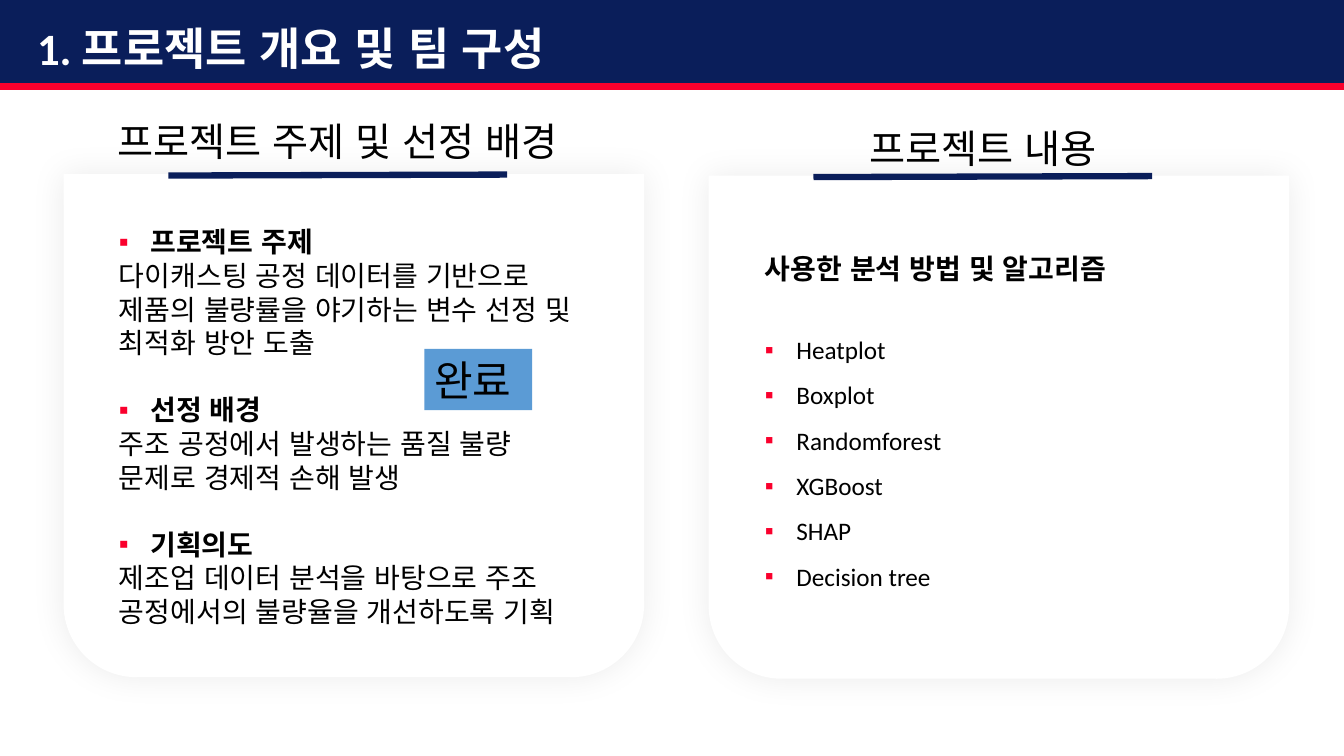
import pptx
import pptx.dml.color
import pptx.enum.lang
import pptx.enum.shapes
import pptx.enum.text
import pptx.oxml
import pptx.oxml.ns
import pptx.util
from lxml import etree

Pt = pptx.util.Pt
RGBColor = pptx.dml.color.RGBColor
SHAPE = pptx.enum.shapes.MSO_SHAPE
ALIGN = pptx.enum.text.PP_ALIGN
KOREAN = pptx.enum.lang.MSO_LANGUAGE_ID.KOREAN
qn = pptx.oxml.ns.qn

NAVY = RGBColor(0x0A, 0x1E, 0x5A)
RED = RGBColor(0xFA, 0x00, 0x2D)
BLUE = RGBColor(0x5B, 0x9B, 0xD5)
WHITE = RGBColor(0xFF, 0xFF, 0xFF)
BLACK = RGBColor(0, 0, 0)
LATIN_FONT = "Calibri"
KOREAN_FONT = "Noto Sans CJK KR"
CARD_STEP = 460.8

TOPIC_SECTIONS = [
    ("프로젝트 주제", "다이캐스팅 공정 데이터를 기반으로 제품의 불량률을 야기하는 변수 선정 및 최적화 방안 도출"),
    ("선정 배경", "주조 공정에서 발생하는 품질 불량 문제로 경제적 손해 발생"),
    ("기획의도", "제조업 데이터 분석을 바탕으로 주조 공정에서의 불량율을 개선하도록 기획"),
]
METHODS = ["Heatplot", "Boxplot", "Randomforest", "XGBoost", "SHAP", "Decision tree"]


def add_bullet(p):
    pPr = p._p.get_or_add_pPr()
    pPr.set("marL", str(Pt(22.5)))
    pPr.set("indent", str(-Pt(22.5)))
    color = etree.SubElement(pPr, qn("a:buClr"))
    etree.SubElement(color, qn("a:srgbClr"), val=str(RED))
    etree.SubElement(pPr, qn("a:buFont"), typeface="Arial")
    etree.SubElement(pPr, qn("a:buChar"), char="▪")


def write(tf, text, size=20, bold=False, color=BLACK, font=LATIN_FONT,
          align=ALIGN.LEFT, bullet=False, before=None, spacing=None):
    p = tf.paragraphs[0] if not tf.text else tf.add_paragraph()
    p.alignment = align
    if spacing:
        p.line_spacing = spacing
    if before:
        p.space_before = Pt(before)
    if bullet:
        add_bullet(p)
    r = p.add_run()
    r.text = text
    r.font.size = Pt(size)
    r.font.bold = bold
    r.font.color.rgb = color
    r.font.name = font
    r.font.language_id = KOREAN
    etree.SubElement(r.font._element, qn("a:ea"), typeface=KOREAN_FONT)


def add_text_box(s, x, y, w, h):
    tf = s.shapes.add_textbox(Pt(x), Pt(y), Pt(w), Pt(h)).text_frame
    tf.word_wrap = True
    return tf


def add_block(s, shape, x, y, w, h, fill):
    sp = s.shapes.add_shape(shape, Pt(x), Pt(y), Pt(w), Pt(h))
    sp.shadow.inherit = False
    sp.fill.solid()
    sp.fill.fore_color.rgb = fill
    sp.line.fill.background()
    return sp


def add_line(s, x1, y1, x2, y2, color):
    line = s.shapes.add_connector(pptx.enum.shapes.MSO_CONNECTOR.STRAIGHT,
                                  Pt(x1), Pt(y1), Pt(x2), Pt(y2))
    line.line.color.rgb = color
    line.line.width = Pt(4.5)
    etree.SubElement(line._element.spPr, qn("a:effectLst"))


def add_soft_shadow(sp):
    effects = sp._element.spPr.find(qn("a:effectLst"))
    shadow = etree.SubElement(effects, qn("a:outerShdw"), blurRad=str(Pt(24)),
                              dist="0", dir="0", algn="ctr", rotWithShape="0")
    color = etree.SubElement(shadow, qn("a:srgbClr"), val=str(BLACK))
    etree.SubElement(color, qn("a:alpha"), val="8000")


def add_card(s, x, y, heading, heading_y):
    tf = add_text_box(s, x - 23, heading_y, 437.8, 41)
    write(tf, heading, size=28, align=ALIGN.CENTER)
    card = add_block(s, SHAPE.ROUND_2_SAME_RECTANGLE, x, y, 414.7, 359.3, WHITE)
    card.adjustments[0] = 0.145
    card.adjustments[1] = 0
    card.rotation = 180
    add_soft_shadow(card)
    add_line(s, x + 316.8, y + 0.3, x + 74.9, y + 1, NAVY)


def add_topic(s):
    tf = add_text_box(s, 77.8, 157, 349.2, 322.6)
    for i, (title, body) in enumerate(TOPIC_SECTIONS):
        write(tf, title, bold=True, bullet=True, before=24 if i else None)
        write(tf, body)


def add_methods(s):
    tf = add_text_box(s, 539.3, 176.4, 349.2, 252)
    write(tf, "사용한 분석 방법 및 알고리즘", bold=True)
    for i, method in enumerate(METHODS):
        write(tf, method, size=18, bullet=True, spacing=1.5,
              before=None if i else 24)


def add_status(s):
    sp = add_block(s, SHAPE.RECTANGLE, 303.1, 249.1, 77, 43.9, BLUE)
    write(sp.text_frame, "완료", size=30, font=KOREAN_FONT)


def main():
    prs = pptx.Presentation()
    prs.slide_width, prs.slide_height = Pt(960), Pt(540)
    s = prs.slides.add_slide(prs.slide_layouts[6])

    add_block(s, SHAPE.RECTANGLE, 0, 0, 960, 61.9, NAVY)
    write(add_text_box(s, 19.4, 11.5, 666, 46.1), "1. 프로젝트 개요 및 팀 구성",
          size=32, bold=True, color=WHITE)
    add_line(s, 0, 61.9, 960, 61.9, RED)

    add_card(s, 45.4, 124.4, "프로젝트 주제 및 선정 배경", 79.9)
    add_card(s, 45.4 + CARD_STEP, 125.5, "프로젝트 내용", 85)
    add_topic(s)
    add_methods(s)
    add_status(s)
    prs.save("out.pptx")


if __name__ == "__main__":
    main()
